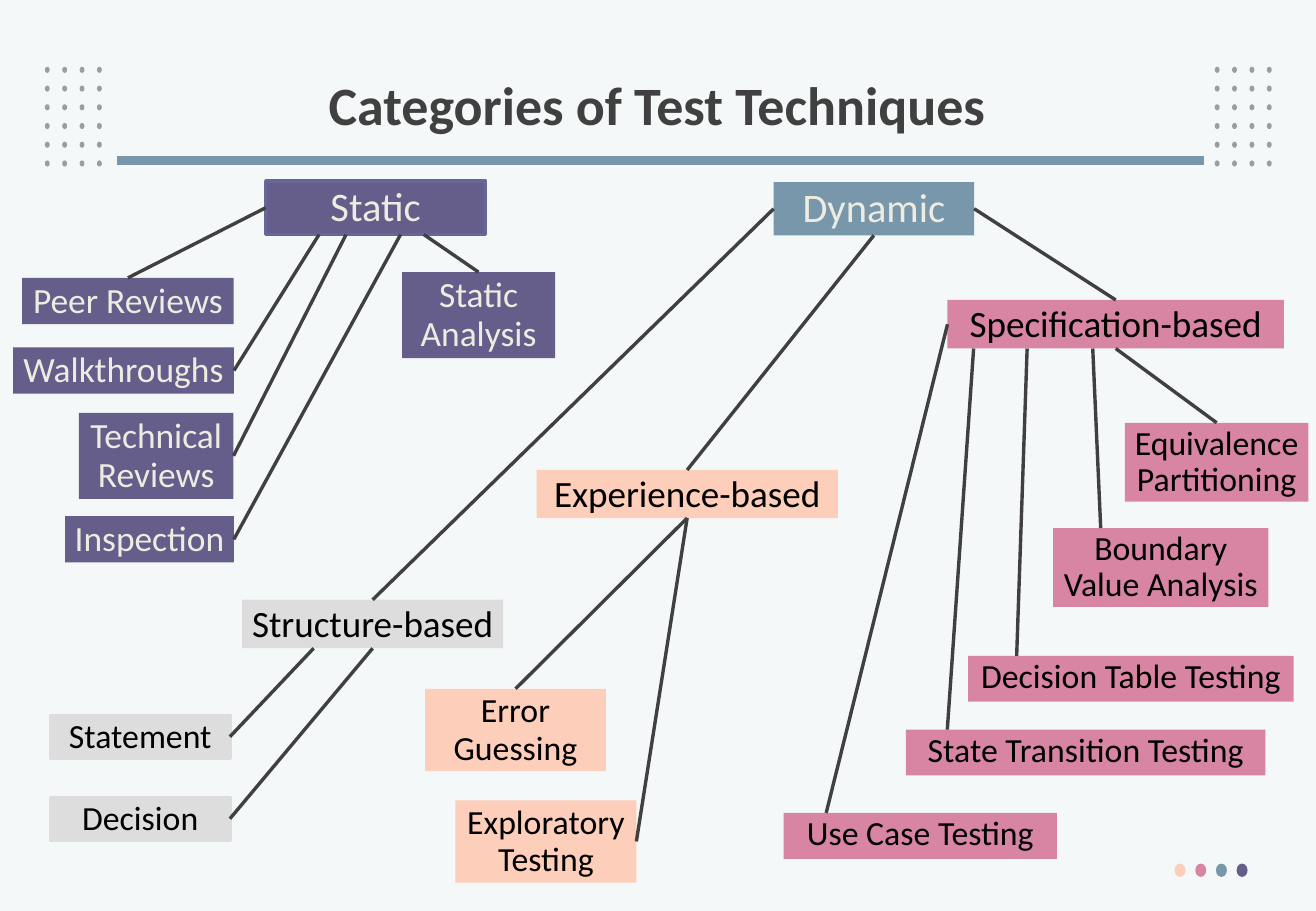
from itertools import product

from lxml.etree import SubElement
from pptx import Presentation
from pptx.dml.color import RGBColor
from pptx.enum.shapes import MSO_CONNECTOR, MSO_SHAPE
from pptx.enum.text import MSO_ANCHOR, PP_ALIGN
from pptx.oxml.ns import qn
from pptx.util import Pt

PAPER = RGBColor(0xF5, 0xF8, 0xF9)
DARK = RGBColor(0x40, 0x40, 0x40)
GREY = RGBColor(0x9D, 0x9D, 0x9D)
CREAM = RGBColor(0xEE, 0xEC, 0xE1)
BLACK = RGBColor(0, 0, 0)
PURPLE = RGBColor(0x65, 0x5D, 0x8A)
VIOLET = RGBColor(0x66, 0x66, 0x99)
BLUE = RGBColor(0x78, 0x97, 0xAB)
PINK = RGBColor(0xD8, 0x85, 0xA3)
PEACH = RGBColor(0xFD, 0xCE, 0xB9)
SILVER = RGBColor(0xDD, 0xDD, 0xDD)

TOP, LEFT, BOTTOM, RIGHT = range(4)

ROOT = {"size": 24, "color": CREAM, "gap": 0.94}
BRANCH = {"size": 22, "gap": 0.93}
REVIEW = {"size": 21, "color": CREAM, "gap": 0.92}
LEAF = {"size": 20, "gap": 0.88}
GUESS = {"size": 20, "gap": 0.92, "wrap": True}
WRAPPED = {**REVIEW, "wrap": True}

BOXES = [
    ("Dynamic", 458.6, 108, 118.8, 31.5, BLUE, None, ROOT),
    ("Structure-based", 143.5, 355.5, 154.8, 28.8, SILVER, None, BRANCH),
    ("Experience-based", 318, 278.6, 178.6, 28.5, PEACH, None, BRANCH),
    ("Peer Reviews", 13.2, 164.7, 125.3, 27.4, PURPLE, None, REVIEW),
    ("Walkthroughs", 7.7, 205.9, 131, 27.4, PURPLE, None, REVIEW),
    ("Technical Reviews", 46.8, 244.7, 91.6, 51, PURPLE, None, WRAPPED),
    ("Inspection", 38.6, 306, 100, 27.4, PURPLE, None, REVIEW),
    ("Static Analysis", 238.3, 161.3, 90.7, 51, PURPLE, None, WRAPPED),
    ("Statement", 30, 424.1, 106.3, 25.2, SILVER, SILVER, LEAF),
    ("Decision", 30, 472.7, 106.3, 25.2, SILVER, SILVER, LEAF),
    ("Error Guessing", 252, 408.3, 107.2, 48.8, PEACH, None, GUESS),
    ("Exploratory Testing", 270, 474.4, 107.2, 48.8, PEACH, None, GUESS),
    ("Specification-based", 561.6, 177.8, 199.4, 28.8, PINK, None, BRANCH),
    ("Equivalence\nPartitioning", 666.7, 250.6, 108.9, 46.8, PINK, None, LEAF),
    ("Boundary\nValue Analysis", 624.2, 313, 127.6, 46.8, PINK, None, LEAF),
    ("Decision Table Testing", 573.8, 388.8, 193, 27.2, PINK, None, LEAF),
    ("State Transition Testing", 537, 432.5, 213, 27.2, PINK, None, LEAF),
    ("Use Case Testing", 464.5, 481.9, 162, 27.2, PINK, None, LEAF),
    ("Static", 157.5, 107.3, 130.3, 31.7, PURPLE, VIOLET, ROOT),
]

LINKS = [
    ("Static", LEFT, 0, "Peer Reviews", TOP, 0),
    ("Static", BOTTOM, -33.5, "Walkthroughs", RIGHT, 0),
    ("Static", BOTTOM, -17.5, "Technical Reviews", RIGHT, 0),
    ("Static", BOTTOM, 14.8, "Inspection", RIGHT, 0),
    ("Static", BOTTOM, 28.5, "Static Analysis", TOP, 0),
    ("Dynamic", LEFT, 0, "Structure-based", TOP, 0),
    ("Dynamic", BOTTOM, 0, "Experience-based", TOP, 0),
    ("Dynamic", RIGHT, 0, "Specification-based", TOP, 0),
    ("Structure-based", BOTTOM, -35, "Statement", RIGHT, 0),
    ("Structure-based", BOTTOM, 0, "Decision", RIGHT, 0),
    ("Experience-based", BOTTOM, 0, "Error Guessing", TOP, 0),
    ("Experience-based", BOTTOM, 0, "Exploratory Testing", RIGHT, 0),
    ("Specification-based", BOTTOM, 0, "Equivalence\nPartitioning", TOP, 0),
    ("Specification-based", BOTTOM, -13.6, "Boundary\nValue Analysis", TOP, -35.6),
    ("Specification-based", BOTTOM, -52.5, "Decision Table Testing", TOP, -67.7),
    ("Specification-based", BOTTOM, -84.2, "State Transition Testing", TOP, -82),
    ("Specification-based", LEFT, 0, "Use Case Testing", TOP, -55.8),
]


def put_text(shape, text, size=20, color=BLACK, bold=False, gap=0.9,
             wrap=False, anchor=MSO_ANCHOR.TOP):
    """Write centred text into a shape with the given format."""
    frame = shape.text_frame
    frame.text = text
    frame.word_wrap = wrap
    frame.vertical_anchor = anchor
    frame.margin_left = frame.margin_right = Pt(5.1)
    frame.margin_top = frame.margin_bottom = Pt(2.5)
    for para in frame.paragraphs:
        para.alignment = PP_ALIGN.CENTER
        para.line_spacing = gap
        font = para.runs[0].font
        font.name, font.size, font.bold = "Calibri", Pt(size), bold
        font.color.rgb = color


def add_form(slide, kind, x, y, w, h, fill, edge=None):
    """Add a flat filled shape, outlined when an edge colour is given."""
    shape = slide.shapes.add_shape(kind, Pt(x), Pt(y), Pt(w), Pt(h))
    shape.shadow.inherit = False
    shape.fill.solid()
    shape.fill.fore_color.rgb = fill
    if edge is None:
        shape.line.fill.background()
    else:
        shape.line.color.rgb = edge
        shape.line.width = Pt(2)
    return shape


def add_line(slide, start, end, color=DARK, width=2):
    """Add a straight line without shadow between two points."""
    line = slide.shapes.add_connector(MSO_CONNECTOR.STRAIGHT, *start, *end)
    line.line.color.rgb = color
    line.line.width = Pt(width)
    SubElement(line._element.spPr, qn("a:effectLst"))
    return line


def find_spot(box, side, shift):
    """Return the point on a box side, shifted along it from the middle."""
    mid_x, mid_y = box.left + box.width // 2, box.top + box.height // 2
    if side in (TOP, BOTTOM):
        return mid_x + Pt(shift), box.top + (box.height if side == BOTTOM else 0)
    return box.left + (box.width if side == RIGHT else 0), mid_y + Pt(shift)


def add_link(slide, head, side, shift, tail, end, slip):
    """Link two boxes, joining the line wherever it meets a side's middle."""
    line = add_line(slide, find_spot(head, side, shift), find_spot(tail, end, slip))
    if not shift:
        line.begin_connect(head, side)
    if not slip:
        line.end_connect(tail, end)


def add_decor(slide):
    """Add the dot grids, the title rule and the row of coloured dots."""
    for left, row, col in product((26.6, 720), range(6), range(4)):
        add_form(slide, MSO_SHAPE.OVAL, left + 10.3 * col, 39.6 + 11.1 * row,
                 2.9, 3.6, GREY)
    add_line(slide, (Pt(713.5), Pt(95)), (Pt(69.1), Pt(95)), BLUE, 5.25)
    for i, fill in enumerate((PEACH, PINK, BLUE, PURPLE)):
        add_form(slide, MSO_SHAPE.OVAL, 696.2 + 12.25 * i, 511.9, 6.5, 7.9, fill)


def main():
    """Build the slide and save it."""
    deck = Presentation()
    deck.slide_width, deck.slide_height = Pt(780), Pt(540)
    slide = deck.slides.add_slide(deck.slide_layouts[6])
    slide.background.fill.solid()
    slide.background.fill.fore_color.rgb = PAPER
    add_decor(slide)
    title = slide.shapes.add_textbox(Pt(53.3), Pt(28.8), Pt(672.5), Pt(70.6))
    put_text(title, "Categories of Test Techniques", size=32, color=DARK,
             bold=True, wrap=True, anchor=MSO_ANCHOR.MIDDLE)
    boxes = {}
    for text, x, y, w, h, fill, edge, style in BOXES:
        boxes[text] = add_form(slide, MSO_SHAPE.RECTANGLE, x, y, w, h, fill, edge)
        put_text(boxes[text], text, **style)
    for head, side, shift, tail, end, slip in LINKS:
        add_link(slide, boxes[head], side, shift, boxes[tail], end, slip)
    deck.save("out.pptx")


if __name__ == "__main__":
    main()
